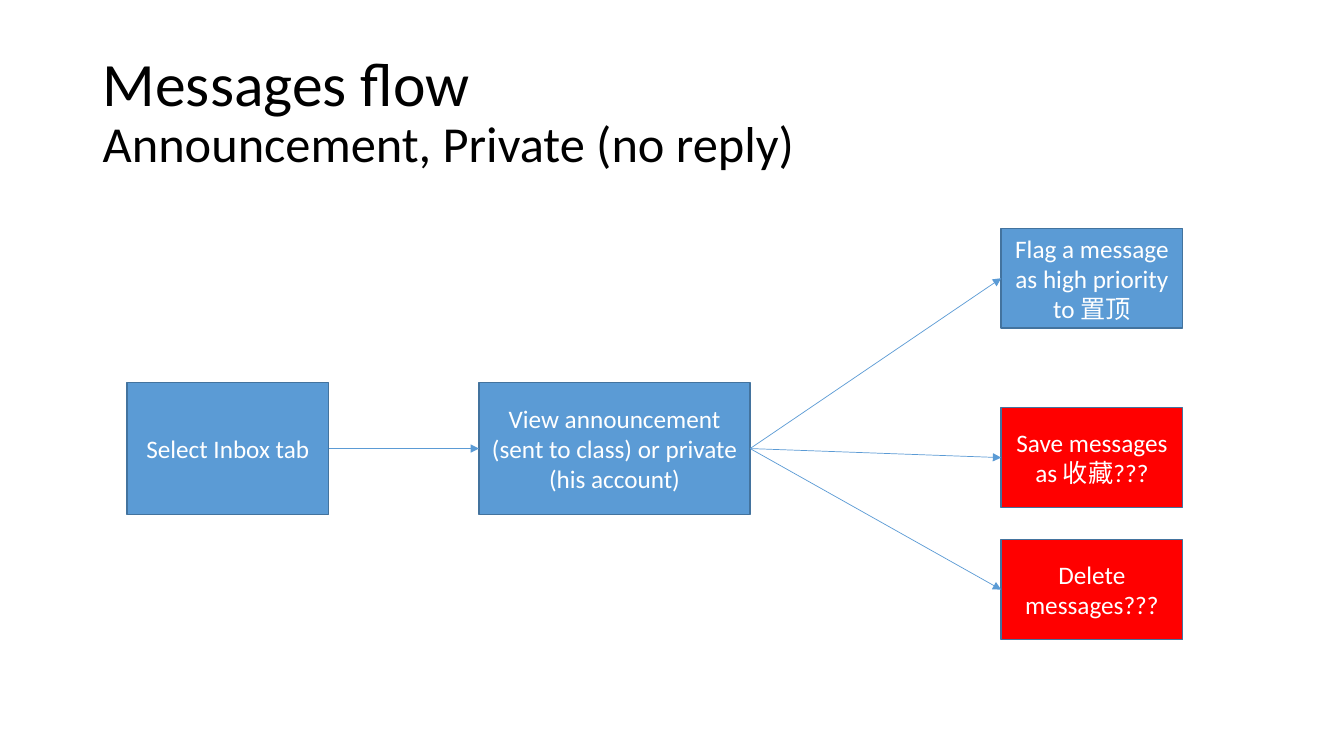
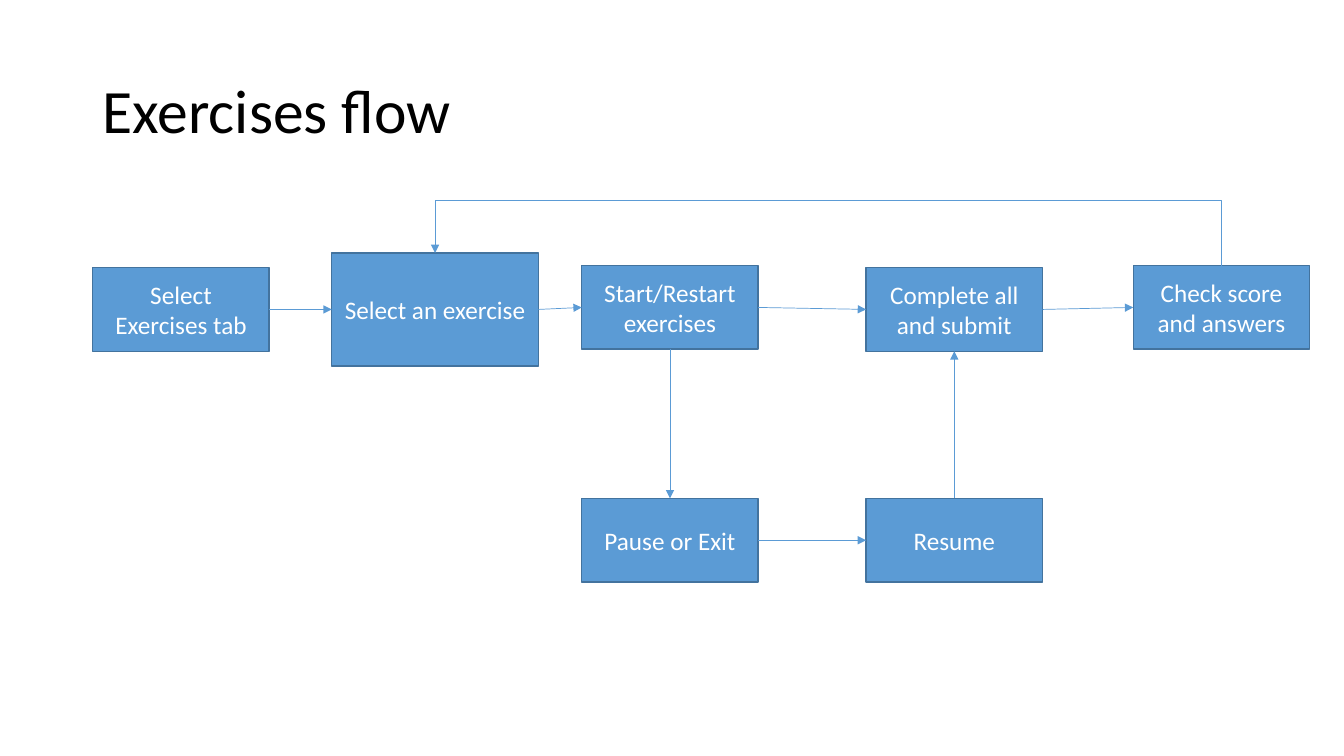
"""Build two flow slides: messages and exercises."""
import dataclasses
import pptx
import pptx.util
import pptx.dml.color
import pptx.enum.shapes
import pptx.enum.text
import pptx.oxml
import pptx.oxml.ns

Inches = pptx.util.Inches
Pt = pptx.util.Pt


def shade(code):
    return pptx.dml.color.RGBColor.from_string(code)


@dataclasses.dataclass(frozen=True)
class Theme:
    font: str = "Calibri"
    ink: str = "000000"
    pale: str = "FFFFFF"
    blue: str = "5B9BD5"
    red: str = "FF0000"
    edge: str = "43739E"
    head: int = 44
    sub: int = 36
    body: int = 18
    rim: float = 1
    wire: float = 0.5


theme = Theme()
TOP, LEFT, BASE, RIGHT = range(4)
RISE = 0.65

step = (1.75, 0.83)
act = (1.8, 0.99)
flows = [
    {
        "title": [("Messages flow ", theme.head),
                  ("Announcement, Private (no reply)", theme.sub)],
        "boxes": {
            "inbox": ("Select Inbox tab", 1.26, 4.45, (2, 1.31), theme.blue),
            "view": ("View announcement (sent to class) or private (his account)",
                     4.75, 4.45, (2.69, 1.31), theme.blue),
            "save": ("Save messages as 收藏???", 9.93, 4.54, act, theme.red),
            "delete": ("Delete messages???", 9.93, 5.85, act, theme.red),
            "flag": ("Flag a message as high priority to 置顶",
                     9.93, 2.76, act, theme.blue),
        },
        "links": [("inbox", RIGHT, "view", LEFT), ("view", RIGHT, "save", LEFT),
                  ("view", RIGHT, "delete", LEFT), ("view", RIGHT, "flag", LEFT)],
        "loops": [],
    },
    {
        "title": [("Exercises flow", theme.head)],
        "boxes": {
            "tab": ("Select Exercises tab", 0.92, 3.07, step, theme.blue),
            "pick": ("Select an exercise", 3.29, 3.07, (2.05, 1.12), theme.blue),
            "start": ("Start/Restart exercises", 5.77, 3.05, step, theme.blue),
            "pause": ("Pause or Exit", 5.77, 5.36, step, theme.blue),
            "resume": ("Resume", 8.59, 5.36, step, theme.blue),
            "submit": ("Complete all and submit", 8.59, 3.07, step, theme.blue),
            "check": ("Check score and answers", 11.24, 3.05, step, theme.blue),
        },
        "links": [("tab", RIGHT, "pick", LEFT), ("pick", RIGHT, "start", LEFT),
                  ("start", BASE, "pause", TOP), ("pause", RIGHT, "resume", LEFT),
                  ("start", RIGHT, "submit", LEFT), ("submit", RIGHT, "check", LEFT),
                  ("resume", TOP, "submit", BASE)],
        "loops": [("check", TOP, "pick", TOP)],
    },
]


def add_title(slide, lines):
    box = slide.shapes.add_textbox(Inches(0.92), Inches(0.4), Inches(11.5), Inches(1.45))
    frame = box.text_frame
    frame.word_wrap = True
    frame.vertical_anchor = pptx.enum.text.MSO_ANCHOR.MIDDLE
    para = frame.paragraphs[0]
    para.line_spacing = 0.9
    para.font.name = theme.font
    para.font.color.rgb = shade(theme.ink)
    for row, (text, size) in enumerate(lines):
        if row:
            para.add_line_break()
        run = para.add_run()
        run.text = text
        run.font.size = Pt(size)


def add_box(slide, text, left, mid, size, fill):
    wide, high = size
    box = slide.shapes.add_shape(
        pptx.enum.shapes.MSO_SHAPE.RECTANGLE,
        Inches(left), Inches(mid - high / 2), Inches(wide), Inches(high))
    box.shadow.inherit = False
    box.fill.solid()
    box.fill.fore_color.rgb = shade(fill)
    box.line.color.rgb = shade(theme.edge)
    box.line.width = Pt(theme.rim)
    frame = box.text_frame
    frame.word_wrap = True
    frame.vertical_anchor = pptx.enum.text.MSO_ANCHOR.MIDDLE
    para = frame.paragraphs[0]
    para.text = text
    para.alignment = pptx.enum.text.PP_ALIGN.CENTER
    para.font.name = theme.font
    para.font.size = Pt(theme.body)
    para.font.color.rgb = shade(theme.pale)
    return box


def add_link(slide, boxes, link, kind):
    first, out, last, into = link
    wire = slide.shapes.add_connector(kind, 0, 0, 0, 0)
    wire.begin_connect(boxes[first], out)
    wire.end_connect(boxes[last], into)
    wire.line.color.rgb = shade(theme.blue)
    wire.line.width = Pt(theme.wire)
    line = wire.line._get_or_add_ln()
    pptx.oxml.ns.qn("a:tailEnd")
    line.append(line.makeelement(pptx.oxml.ns.qn("a:tailEnd"), {"type": "triangle"}))
    props = wire._element.spPr
    props.append(props.makeelement(pptx.oxml.ns.qn("a:effectLst"), {}))
    return wire


def add_loop(slide, boxes, link):
    wire = add_link(slide, boxes, link, pptx.enum.shapes.MSO_CONNECTOR.ELBOW)
    midx = (wire.begin_x + wire.end_x) // 2
    midy = (wire.begin_y + wire.end_y) // 2
    span = abs(wire.begin_x - wire.end_x)
    drop = abs(wire.begin_y - wire.end_y)
    wire.left, wire.top = midx - drop // 2, midy - span // 2
    wire.width, wire.height = drop, span
    props = wire._element.spPr
    form = props.find(pptx.oxml.ns.qn("a:xfrm"))
    for name, value in (("rot", "16200000"), ("flipH", "0"), ("flipV", "1")):
        form.set(name, value)
    shape = props.find(pptx.oxml.ns.qn("a:prstGeom"))
    slots = shape.find(pptx.oxml.ns.qn("a:avLst"))
    bend = round(Inches(RISE) / drop * 100000)
    slots.append(slots.makeelement(
        pptx.oxml.ns.qn("a:gd"), {"name": "adj1", "fmla": f"val {bend}"}))


deck = pptx.Presentation()
deck.slide_width, deck.slide_height = Inches(13.33), Inches(7.5)
for flow in flows:
    slide = deck.slides.add_slide(deck.slide_layouts[6])
    add_title(slide, flow["title"])
    boxes = {key: add_box(slide, *item) for key, item in flow["boxes"].items()}
    for link in flow["links"]:
        add_link(slide, boxes, link, pptx.enum.shapes.MSO_CONNECTOR.STRAIGHT)
    for link in flow["loops"]:
        add_loop(slide, boxes, link)
deck.save("out.pptx")
